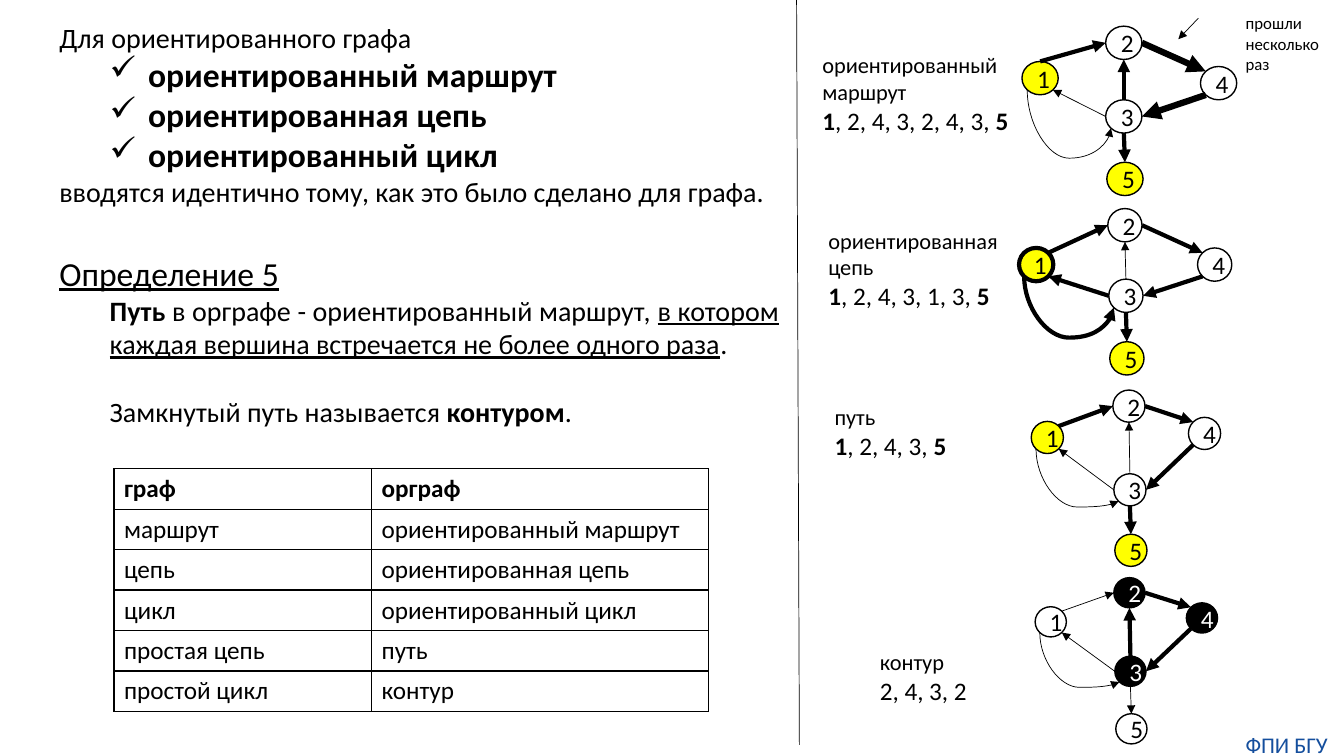
from lxml.etree import SubElement
from pptx import Presentation
from pptx.dml.color import RGBColor
from pptx.enum.shapes import MSO_CONNECTOR, MSO_SHAPE
from pptx.enum.text import MSO_ANCHOR, MSO_AUTO_SIZE, PP_ALIGN
from pptx.oxml.ns import qn
from pptx.util import Pt

BLACK = RGBColor(0x00, 0x00, 0x00)
WHITE = RGBColor(0xFF, 0xFF, 0xFF)
YELLOW = RGBColor(0xFF, 0xFF, 0x00)
BLUE = RGBColor(0x14, 0x4E, 0x9D)
THIN, THICK, REPEATED = 0.5, 3, 4.5

DIAGONAL = 0.5 ** 0.5
SITES = {
    "top": (0, -1), "bottom": (0, 1), "left": (-1, 0), "right": (1, 0),
    "top left": (-DIAGONAL, -DIAGONAL), "top right": (DIAGONAL, -DIAGONAL),
    "bottom left": (-DIAGONAL, DIAGONAL), "bottom right": (DIAGONAL, DIAGONAL),
}
ARCS = {
    (3, 2): ("top", "bottom"),
    (3, 5): ("bottom", "top"),
    (3, 1): ("left", "bottom right"),
    (4, 3): ("bottom left", "right"),
    (1, 2): ("top right", "left"),
    (2, 4): ("right", "top left"),
}


def write(paragraph, text, font="Calibri", size=18, bold=False, underline=False, color=BLACK):
    run = paragraph.add_run()
    run.text = text
    run.font.name = font
    run.font.size = Pt(size)
    run.font.bold = bold
    run.font.underline = underline
    run.font.color.rgb = color


class Board:
    def __init__(self, slide, font):
        self.slide = slide
        self.font = font

    def text(self, left, top, width, height, paragraphs, wrap=True, inset=None):
        frame = self.slide.shapes.add_textbox(Pt(left), Pt(top), Pt(width), Pt(height)).text_frame
        frame.word_wrap = wrap
        frame.auto_size = MSO_AUTO_SIZE.SHAPE_TO_FIT_TEXT
        if inset is not None:
            frame.margin_left = frame.margin_right = Pt(inset)
            frame.margin_top = frame.margin_bottom = Pt(inset)
        for index, options in enumerate(paragraphs):
            paragraph = frame.paragraphs[0] if index == 0 else frame.add_paragraph()
            self.paragraph(paragraph, **options)

    def paragraph(self, paragraph, runs, align=PP_ALIGN.LEFT, indent=0, hanging=0,
                  bullet=None, before=0, **style):
        paragraph.alignment = align
        properties = paragraph._p.get_or_add_pPr()
        if indent:
            paragraph.level = 1
            properties.set("marL", str(Pt(indent)))
            properties.set("indent", str(-Pt(hanging)))
        if bullet:
            SubElement(properties, qn("a:buChar"), char=bullet)
        if before:
            paragraph.space_before = Pt(before)
        for text, emphasis in runs:
            write(paragraph, text, font=self.font, **{**style, **emphasis})

    def line(self, start, end, width, arrow=True, shapes=None, kind=MSO_CONNECTOR.STRAIGHT):
        shapes = shapes or self.slide.shapes
        connector = shapes.add_connector(kind, *[Pt(value) for value in (*start, *end)])
        connector.line.color.rgb = BLACK
        connector.line.width = Pt(width)
        if arrow:
            SubElement(connector.line._get_or_add_ln(), qn("a:tailEnd"), type="triangle")
        SubElement(connector._element.spPr, qn("a:effectLst"))
        return connector

    def loop(self, start, end, lowest, width, shapes):
        (x1, y1), (x2, y2) = start, end
        middle_x, middle_y = (x1 + x2) / 2, (y1 + y2) / 2
        half_x, half_y = (y2 - y1) / 2, (x2 - x1) / 2
        connector = self.line((middle_x - half_x, middle_y - half_y),
                              (middle_x + half_x, middle_y + half_y),
                              width, shapes=shapes, kind=MSO_CONNECTOR.CURVE)
        properties = connector._element.spPr
        frame = properties.find(qn("a:xfrm"))
        frame.set("rot", "16200000")
        frame.set("flipH", "1")
        adjustments = properties.find(qn("a:prstGeom")).get_or_add_avLst()
        bend = round(100000 * (lowest - y1) / (y2 - y1))
        SubElement(adjustments, qn("a:gd"), name="adj1", fmla=f"val {bend}")

    def vertex(self, shapes, number, corner, size, fill, outline):
        oval = shapes.add_shape(MSO_SHAPE.OVAL, *[Pt(value) for value in (*corner, *size)])
        oval.shadow.inherit = False
        if fill is None:
            oval.fill.background()
        else:
            oval.fill.solid()
            oval.fill.fore_color.rgb = fill
        oval.line.color.rgb = BLACK
        oval.line.width = Pt(outline)
        oval.text_frame.vertical_anchor = MSO_ANCHOR.MIDDLE
        paragraph = oval.text_frame.paragraphs[0]
        paragraph.alignment = PP_ALIGN.CENTER
        write(paragraph, str(number), font=self.font, color=WHITE if fill == BLACK else BLACK)

    def graph(self, corners, size, fills, widths, lowest, loop_width=THIN, outlines={}, sites={}):
        shapes = self.slide.shapes.add_group_shape().shapes
        for number, corner in enumerate(corners, 1):
            self.vertex(shapes, number, corner, size, fills.get(number), outlines.get(number, 1))

        def at(number, site):
            return [corner + side / 2 * (1 + shift) for corner, side, shift
                    in zip(corners[number - 1], size, SITES[site])]

        for (tail, head), default in ARCS.items():
            leave, enter = sites.get((tail, head), default)
            self.line(at(tail, leave), at(head, enter), widths.get((tail, head), THIN), shapes=shapes)
        self.loop(at(1, "bottom left"), at(3, "bottom left"), lowest, loop_width, shapes)

    def table(self, left, top, columns, row_height, rows):
        table = self.slide.shapes.add_table(
            len(rows), len(columns), Pt(left), Pt(top),
            Pt(sum(columns)), Pt(row_height * len(rows))).table
        table.first_row = table.horz_banding = False
        for column, width in zip(table.columns, columns):
            column.width = Pt(width)
        for row_index, row in enumerate(rows):
            table.rows[row_index].height = Pt(row_height)
            for column_index, text in enumerate(row):
                cell = table.cell(row_index, column_index)
                write(cell.text_frame.paragraphs[0], text, font=self.font, bold=row_index == 0)
                properties = cell._tc.get_or_add_tcPr()
                for side in "LRTB":
                    border = SubElement(properties, qn(f"a:ln{side}"), w=str(Pt(1)))
                    color = SubElement(border, qn("a:solidFill"))
                    SubElement(color, qn("a:srgbClr"), val=str(BLACK))
                cell.fill.background()


def plain(text, **options):
    return dict(runs=[(text, {})], **options)


def walk(name, *parts):
    return [plain(name, size=16), dict(runs=[(part, {"bold": part.isdigit()}) for part in parts])]


def main():
    presentation = Presentation()
    presentation.slide_width, presentation.slide_height = Pt(960), Pt(540)
    board = Board(presentation.slides.add_slide(presentation.slide_layouts[6]), "Calibri")
    bold, underlined = {"bold": True}, {"underline": True}
    justify = PP_ALIGN.JUSTIFY

    notions = ["ориентированный маршрут", "ориентированная цепь", "ориентированный цикл"]
    board.text(35.3, 10.8, 528, 143, [
        plain("Для ориентированного графа", size=20),
        *[plain(notion, size=24, bold=True, indent=63.4, hanging=27.4, bullet="✓") for notion in notions],
        plain("вводятся идентично тому, как это было сделано для графа.", size=20, align=justify),
    ])
    board.text(35.3, 177, 528, 133, [
        plain("Определение 5", size=24, underline=True, align=justify),
        dict(runs=[("Путь", bold), (" в орграфе - ориентированный маршрут, ", {}),
                   ("в котором каждая вершина встречается не более одного раза", underlined),
                   (".", {})], size=20, align=justify, indent=36),
        dict(runs=[("Замкнутый путь называется ", {}), ("контуром", bold), (".", {})],
             size=20, align=justify, indent=36, before=24.4),
    ])
    board.table(81.4, 334.8, (184, 240.5), 28.9, [
        ("граф", "орграф"), ("маршрут", notions[0]), ("цепь", notions[1]),
        ("цикл", notions[2]), ("простая цепь", "путь"), ("простой цикл", "контур"),
    ])
    board.line((569, 0), (571, 532), THIN, arrow=False)

    board.text(580.3, 33.1, 156, 68, walk(notions[0], "1", ", 2, 4, 3, 2, 4, 3, ", "5"))
    board.text(584.6, 158.4, 143, 68, walk(notions[1], "1", ", 2, 4, 3, 1, 3, ", "5"))
    board.text(589, 284.4, 96, 48, walk("путь", "1", ", 2, 4, 3, ", "5"), wrap=False)
    board.text(621.4, 459.4, 78, 48, walk("контур", "2, 4, 3, 2"), wrap=False)

    ends = {1: YELLOW, 5: YELLOW}
    route = dict.fromkeys([(1, 2), (2, 4), (4, 3), (3, 5)], THICK)
    cycle = dict.fromkeys([(2, 4), (4, 3), (3, 2)], THICK)
    board.graph([(730, 43.9), (789.8, 18.7), (789.8, 71.3), (857.5, 47.5), (790.6, 115.9)],
                (25.9, 23.8), ends, {**route, **cycle, (2, 4): REPEATED, (4, 3): REPEATED}, 113,
                sites={(1, 2): ("top", "left")})
    board.graph([(727.9, 177.1), (791.3, 149), (792, 199.4), (855.4, 177.1), (792.7, 244.1)],
                (24.5, 23.8), ends, {**route, (3, 1): THICK}, 241.2,
                loop_width=THICK, outlines={1: THICK})
    board.graph([(736.6, 301), (794.9, 278.6), (795.6, 338.4), (848.9, 298.1), (796.3, 381.6)],
                (23, 23), ends, route, 362.2)
    board.graph([(739.4, 433.4), (795.6, 412.6), (796.3, 468.7), (847.4, 430.6), (797, 509.8)],
                (22.3, 21.6), dict.fromkeys([2, 3, 4], BLACK), cycle, 491)

    board.text(882.7, 5.8, 77, 51, [plain("прошли несколько раз", size=12)])
    board.line((856, 13), (841.7, 28), THIN)
    board.text(878.4, 522, 81.4, 18,
               [plain("ФПИ БГУ", size=16, color=BLUE, align=PP_ALIGN.CENTER)], inset=0)

    presentation.save("out.pptx")


if __name__ == "__main__":
    main()
